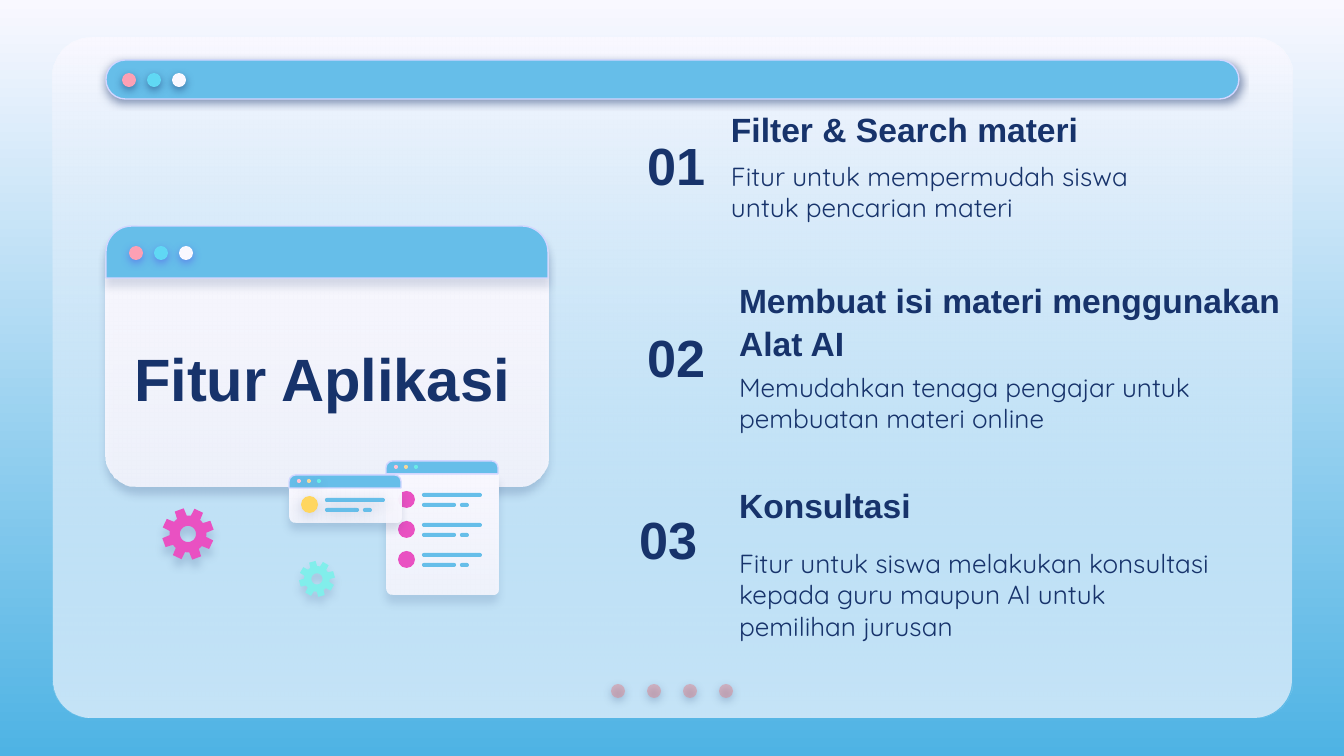
from dataclasses import dataclass
from math import cos, radians, sin

from lxml import etree
from pptx import Presentation
from pptx.dml.color import RGBColor
from pptx.enum.shapes import MSO_SHAPE
from pptx.enum.text import MSO_ANCHOR, PP_ALIGN
from pptx.oxml.ns import qn
from pptx.util import Emu, Pt

OVAL = MSO_SHAPE.OVAL
ROUNDED = MSO_SHAPE.ROUNDED_RECTANGLE
ROUNDED_TOP = MSO_SHAPE.ROUND_2_SAME_RECTANGLE
LEFT, RIGHT = PP_ALIGN.LEFT, PP_ALIGN.RIGHT
MIDDLE = MSO_ANCHOR.MIDDLE

EMU_PER_PX = 9144000 / 1344


@dataclass(frozen=True)
class Theme:
    navy: str = "17336B"
    blue: str = "66BEE9"
    sky: str = "4EB3E4"
    white: str = "F9F8FF"
    outline: str = "D2D6FF"
    indigo: str = "5352EE"
    rose: str = "E27B83"
    pink: str = "E951C2"
    mint: str = "81EEEB"
    yellow: str = "FFD65F"
    window_dots: tuple = ("FDA0B4", "60D8F4", "F9F8FF")
    mini_dots: tuple = ("FFC3D0", "F5D79B", "6AEBE7")
    heading_font: str = "Arial"
    body_font: str = "Quicksand"
    title_size: int = 32
    number_size: int = 28
    heading_size: int = 18
    body_size: int = 14


@dataclass(frozen=True)
class Shadow:
    """A shadow falling straight down; alpha in percent, lengths in points."""
    alpha: int
    blur: float = 4.5
    distance: float = 1.5
    color: str = Theme.navy


THEME = Theme()
STRONG = Shadow(50)
WHITE_FADE = ((THEME.white, 100), (THEME.white, 87))


def px(value):
    return Emu(round(value * EMU_PER_PX))


def set_gradient(fill, colors):
    fill.gradient()
    fill.gradient_angle = 270
    for stop, color in zip(fill.gradient_stops, colors):
        stop.color.rgb = RGBColor.from_string(color)


def set_style(shape, fill, line=None, shadow=None):
    """Fill is a colour, or (colour, alpha) stops: one is solid, two a gradient."""
    stops = ((fill, 100),) if isinstance(fill, str) else fill
    if len(stops) > 1:
        set_gradient(shape.fill, [color for color, _ in stops])
    else:
        shape.fill.solid()
        shape.fill.fore_color.rgb = RGBColor.from_string(stops[0][0])
    properties = shape.element.spPr
    for node, (_, alpha) in zip(properties.iter(qn("a:srgbClr")), stops):
        if alpha < 100:
            etree.SubElement(node, qn("a:alpha"), val=str(alpha * 1000))
    if line:
        shape.line.color.rgb = RGBColor.from_string(line)
        shape.line.width = Pt(0.75)
    else:
        shape.line.fill.background()
    shape.shadow.inherit = False
    if shadow:
        outer = etree.SubElement(
            properties.find(qn("a:effectLst")), qn("a:outerShdw"),
            blurRad=str(Pt(shadow.blur)), dist=str(Pt(shadow.distance)),
            dir="5400000", algn="bl", rotWithShape="0")
        color = etree.SubElement(outer, qn("a:srgbClr"), val=shadow.color)
        etree.SubElement(color, qn("a:alpha"), val=str(shadow.alpha * 1000))


def add_shape(page, preset, area, fill, adjust=(), line=None, shadow=None):
    shape = page.shapes.add_shape(preset, *map(px, area))
    for index, value in enumerate(adjust):
        shape.adjustments[index] = value
    set_style(shape, fill, line, shadow)


def add_dots(page, left, top, size, step, fills, shadow=None):
    for index, fill in enumerate(fills):
        add_shape(page, OVAL, (left + index * step, top, size, size), fill, shadow=shadow)


def add_text(page, text, area, size, font=THEME.heading_font, bold=True,
             align=LEFT, spacing=1.0, right_inset=13):
    box = page.shapes.add_textbox(*map(px, area))
    frame = box.text_frame
    frame.word_wrap = True
    frame.vertical_anchor = MIDDLE
    frame.margin_left = frame.margin_top = frame.margin_bottom = px(13)
    frame.margin_right = px(right_inset)
    para = frame.paragraphs[0]
    para.alignment = align
    para.line_spacing = spacing
    span = para.add_run()
    span.text = text
    span.font.size = Pt(size)
    span.font.name = font
    span.font.bold = bold
    span.font.color.rgb = RGBColor.from_string(THEME.navy)


def add_list_row(page, left, top, fill, shadow=None):
    """A bullet with one long line above two short ones."""
    add_shape(page, OVAL, (left + 12, top, 17, 17), fill, shadow=shadow)
    for offset, drop, width in ((36, 2, 60), (36, 12, 34), (74, 12, 9)):
        add_shape(page, ROUNDED, (left + offset, top + drop, width, 4),
                  THEME.blue, (0.5,), shadow=shadow)


def add_mini_window(page, left, top, body_height, body_shadow, dot_shadow=None):
    width, bar = 112, 13
    add_shape(page, ROUNDED_TOP, (left, top + bar, width, body_height), WHITE_FADE,
              (0, 7 / min(width, body_height)), shadow=body_shadow)
    add_shape(page, ROUNDED_TOP, (left, top, width, bar), THEME.blue, (0.5, 0), THEME.outline)
    add_dots(page, left + 8, top + 4, 4, 10, THEME.mini_dots, dot_shadow)


def add_gear(page, center, radius, first_tooth, fill, shadow):
    """Eight teeth and a round hole; first_tooth is an angle in degrees."""
    def point(angle, distance):
        turn = radians(angle)
        return (px(center[0] + distance * cos(turn)), px(center[1] + distance * sin(turn)))

    root = radius * 0.71
    profile = ((-16, root), (-10.5, radius), (10.5, radius), (16, root), (22.5, root))
    rim = [point(first_tooth + tooth * 45 + angle, distance)
           for tooth in range(8) for angle, distance in profile]
    hole = [point(-angle, radius * 0.31) for angle in range(0, 360, 10)]
    builder = page.shapes.build_freeform(*rim[0])
    builder.add_line_segments(rim[1:])
    builder.move_to(*hole[0])
    builder.add_line_segments(hole[1:])
    set_style(builder.convert_to_shape(), fill, shadow=shadow)


def add_backdrop(page):
    set_gradient(page.background.fill, (THEME.white, THEME.sky))
    panel = (53, 38, 1239, 680)
    for fill in (THEME.white, ((THEME.white, 100), (THEME.blue, 35))):
        add_shape(page, ROUNDED, panel, fill, (0.056,))
    add_dots(page, 611, 684, 14, 36, [((THEME.rose, 44),)] * 4, STRONG)
    add_shape(page, ROUNDED, (106, 60, 1133, 39), THEME.blue, (0.5,), THEME.outline, STRONG)
    add_dots(page, 122, 73, 14, 25, THEME.window_dots, STRONG)


def add_title_window(page):
    add_shape(page, ROUNDED, (106, 226, 442, 261), WHITE_FADE, (0.124,),
              shadow=Shadow(22, distance=3.8))
    add_shape(page, ROUNDED_TOP, (106, 226, 442, 52), THEME.blue, (0.5, 0), THEME.outline,
              Shadow(15, distance=3.8))
    add_dots(page, 129, 246, 14, 25, THEME.window_dots, Shadow(50, color=THEME.indigo))
    add_text(page, "Fitur Aplikasi", (121, 300, 417, 156), THEME.title_size)


def add_illustration(page):
    add_mini_window(page, 386, 461, 121, Shadow(15, distance=4.5))
    for row in range(3):
        add_list_row(page, 386, 491 + row * 30, THEME.pink)
    add_mini_window(page, 289, 475, 34, Shadow(16, distance=4.5), Shadow(17, distance=2.2))
    add_list_row(page, 289, 496, THEME.yellow, Shadow(18, blur=6.8))
    add_gear(page, (188, 534), 26, -110, THEME.pink, Shadow(16, distance=4.5))
    add_gear(page, (317, 579), 18, -105, THEME.mint, Shadow(15, distance=3.8))


def add_features(page):
    features = (
        ("01", (574, 101), "Filter & Search materi", (718, 101, 513),
         "Fitur untuk mempermudah siswa untuk pencarian materi", 155),
        ("02", (574, 293), "Membuat isi materi menggunakan Alat AI", (726, 293, 626),
         "Memudahkan tenaga pengajar untuk pembuatan materi online", 366),
        ("03", (566, 475), "Konsultasi", (726, 477, 513),
         "Fitur untuk siswa melakukan konsultasi kepada guru maupun AI untuk pemilihan jurusan",
         558),
    )
    for number, corner, heading, (left, top, width), detail, detail_top in features:
        add_text(page, number, (*corner, 145, 127), THEME.number_size, align=RIGHT)
        add_text(page, heading, (left, top, width, 54), THEME.heading_size, spacing=1.07)
        add_text(page, detail, (left, detail_top, 497, 73), THEME.body_size,
                 font=THEME.body_font, bold=False)


def main():
    deck = Presentation()
    deck.slide_width, deck.slide_height = px(1344), px(756)
    page = deck.slides.add_slide(deck.slide_layouts[6])
    add_backdrop(page)
    add_title_window(page)
    add_features(page)
    add_illustration(page)
    deck.save("out.pptx")


if __name__ == "__main__":
    main()
